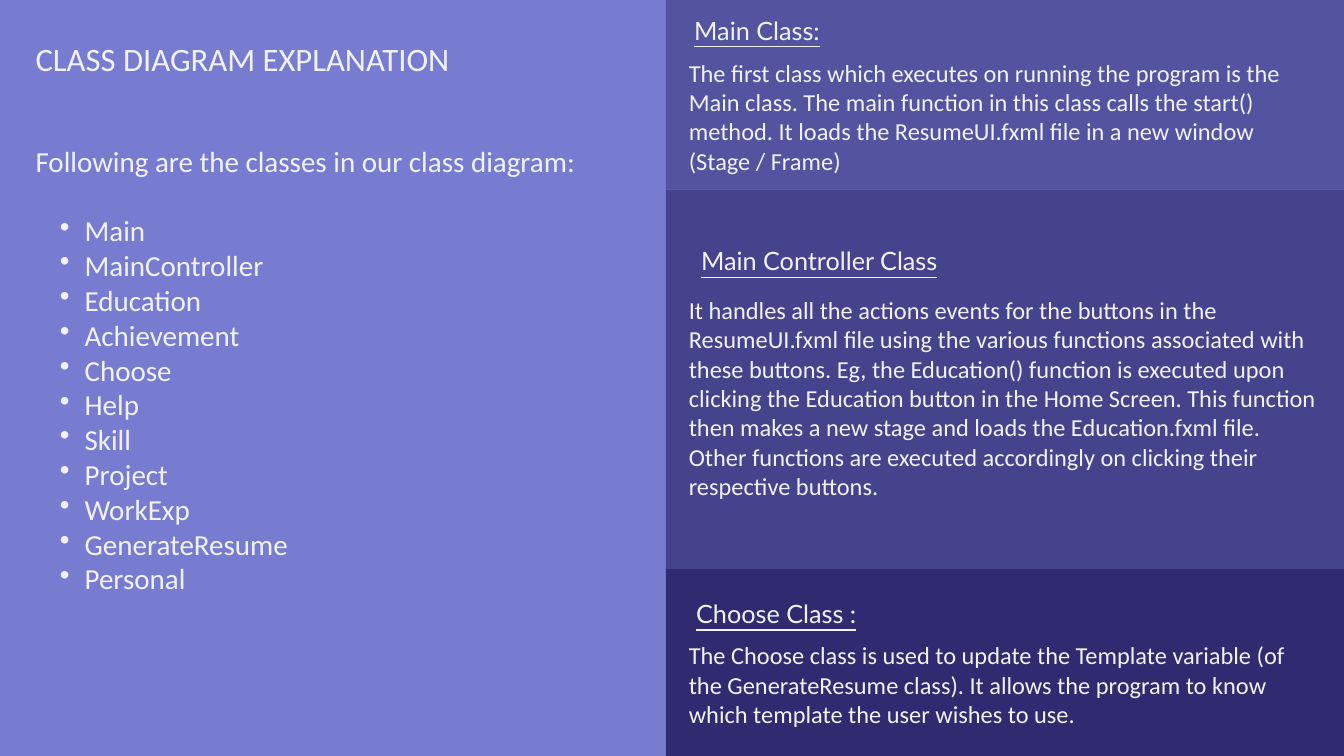
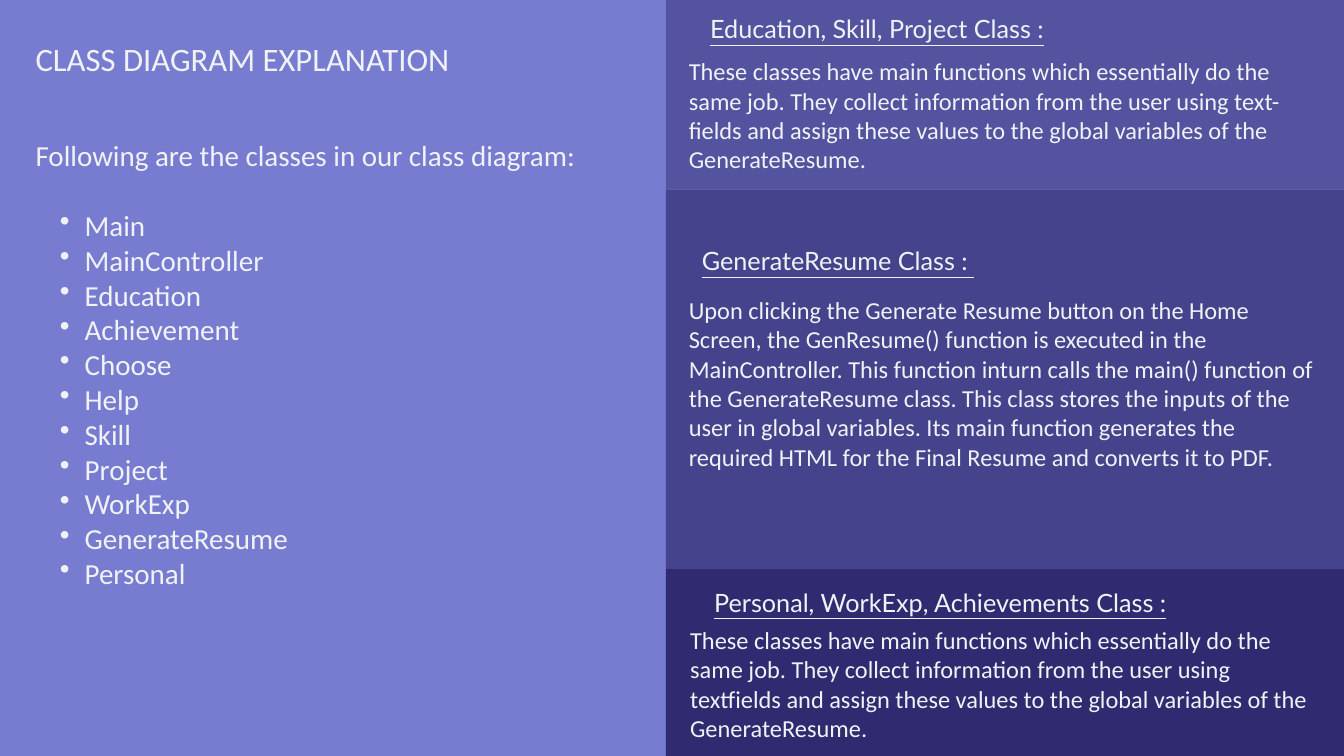
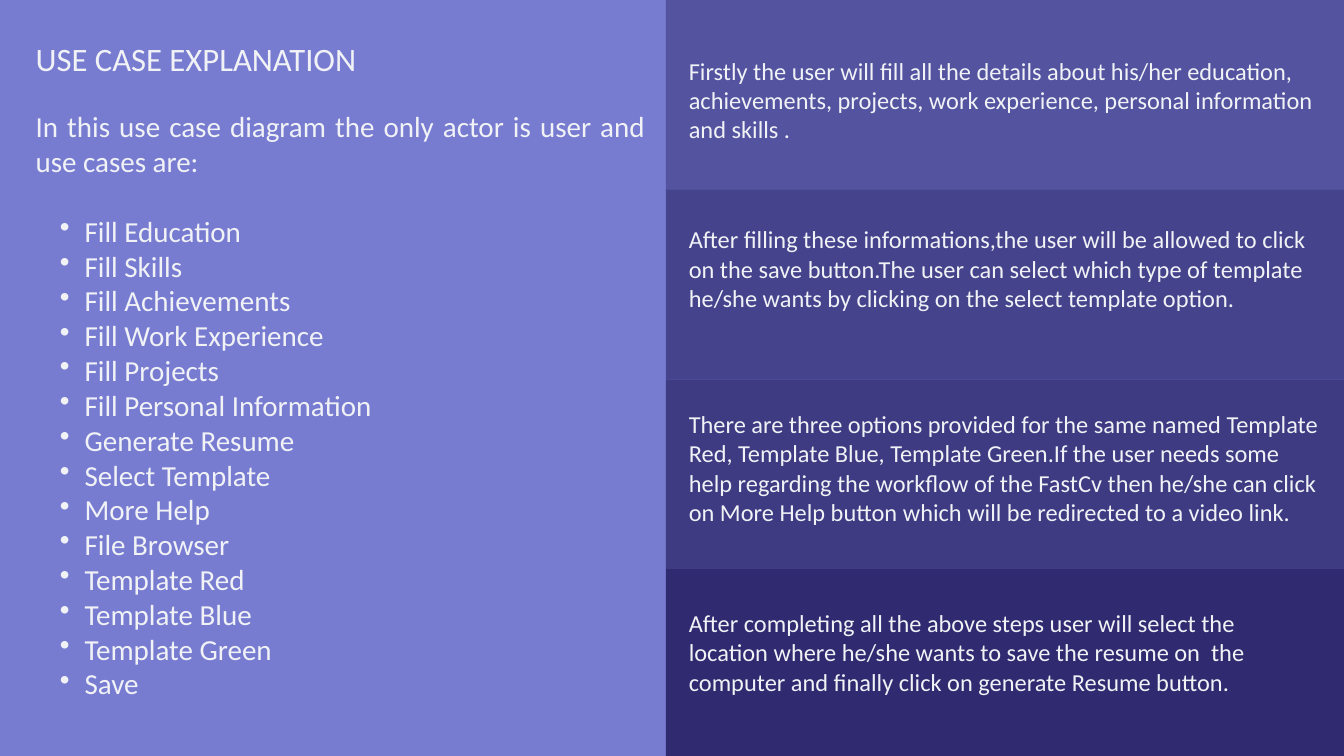
import dataclasses

import lxml.etree
import pptx
import pptx.dml.color
import pptx.enum.shapes
import pptx.enum.text
import pptx.oxml.ns
import pptx.util

EMU_PER_PX = 9144
SLIDE_WIDTH, SLIDE_HEIGHT = 2000, 1125
BAND_LEFT = 991
BAND_TOPS = (0, 282, 565, 847, SLIDE_HEIGHT)
LEFT_MARGIN = 53
TITLE_BOX = (LEFT_MARGIN, 58, 873, 59)
LIST_WIDTH = 907
BULLET_INDENT, BULLET_HANG = 73, 37
HEADING_HEIGHT = 51


@dataclasses.dataclass(frozen=True)
class TextStyle:
    font: str
    size: float
    line: float
    align: str = "LEFT"
    underline: bool = False


@dataclasses.dataclass(frozen=True)
class Theme:
    background: str = "787CD1"
    band: str = "302B70"
    text: str = "F0F2F6"
    title: TextStyle = TextStyle("Calibri", 35, 42)
    listing: TextStyle = TextStyle("Calibri", 31.1, 37.3, "JUSTIFY")
    heading: TextStyle = TextStyle("Lato", 27, 37.8, "CENTER", True)
    body: TextStyle = TextStyle("Calibri", 26.1, 31.4)


THEME = Theme()

CLASS_TITLE = "CLASS DIAGRAM EXPLANATION"
CLASS_INTRO = "Following are the classes in our class diagram:"
CLASSES = ["Main", "MainController", "Education", "Achievement", "Choose", "Help",
           "Skill", "Project", "WorkExp", "GenerateResume", "Personal"]
USE_CASES = ["Fill Education", "Fill Skills", "Fill Achievements", "Fill Work Experience",
             "Fill Projects", "Fill Personal Information", "Generate Resume",
             "Select Template", "More Help", "File Browser", "Template Red",
             "Template Blue", "Template Green", "Save"]

# Bands: (first row, last row, opacity in percent)
CLASS_BANDS = [(0, 0, 50), (1, 2, 70), (3, 3, 100)]
USE_CASE_BANDS = [(0, 0, 50), (1, 1, 70), (2, 2, 80), (3, 3, 100)]

# Headings: (text, left, top, width); bodies: (text, left, top, width, height)
SLIDES = [
    {
        "title": CLASS_TITLE, "intro": CLASS_INTRO, "items": CLASSES,
        "list_top": 213, "list_height": 766, "bands": CLASS_BANDS,
        "headings": [
            ("Main Class:", 1025, 15, 203),
            ("Main Controller Class", 1025, 358, 388),
            ("Choose Class :", 1025, 883, 260),
        ],
        "bodies": [
            ("The first class which executes on running the program is the Main class. "
             "The main function in this class calls the start() method. It loads the "
             "ResumeUI.fxml file in a new window (Stage / Frame)", 1025, 86, 941, 214),
            ("It handles all the actions events for the buttons in the ResumeUI.fxml file "
             "using the various functions associated with these buttons. Eg, the "
             "Education() function is executed upon clicking the Education button in the "
             "Home Screen. This function then makes a new stage and loads the "
             "Education.fxml file. Other functions are executed accordingly on clicking "
             "their respective buttons.", 1025, 439, 941, 300),
            ("The Choose class is used to update the Template variable (of the "
             "GenerateResume class). It allows the program to know which template the "
             "user wishes to use.", 1025, 953, 941, 172),
        ],
    },
    {
        "title": CLASS_TITLE, "intro": CLASS_INTRO, "items": CLASSES,
        "list_top": 205, "list_height": 766, "bands": CLASS_BANDS,
        "headings": [
            ("Education, Skill, Project Class :", 1030, 13, 550),
            ("GenerateResume Class : ", 1025, 358, 444),
            ("Personal, WorkExp, Achievements Class :", 1019, 866, 760),
        ],
        "bodies": [
            ("These classes have main functions which essentially do the same job. They "
             "collect information from the user using text-fields and assign these values "
             "to the global variables of the GenerateResume.", 1025, 84, 941, 172),
            ("Upon clicking the Generate Resume button on the Home Screen, the GenResume() "
             "function is executed in the MainController. This function inturn calls the "
             "main() function of the GenerateResume class. This class stores the inputs of "
             "the user in global variables. Its main function generates the required HTML "
             "for the Final Resume and converts it to PDF.", 1025, 439, 941, 300),
            ("These classes have main functions which essentially do the same job. They "
             "collect information from the user using textfields and assign these values "
             "to the global variables of the GenerateResume.", 1027, 930, 936, 172),
        ],
    },
    {
        "title": "USE CASE EXPLANATION",
        "intro": "In this use case diagram the only actor is user and use cases are:",
        "items": USE_CASES,
        "list_top": 162, "list_height": 920, "bands": USE_CASE_BANDS,
        "headings": [],
        "bodies": [
            ("Firstly the user will fill all the details about his/her education, "
             "achievements, projects, work experience, personal information and skills .",
             1025, 83, 941, 129),
            ("After filling these informations,the user will be allowed to click on the "
             "save button.The user can select which type of template he/she wants by "
             "clicking on the select template option.", 1025, 334, 941, 172),
            ("There are three options provided for the same named Template Red, Template "
             "Blue, Template Green.If the user needs some help regarding the workflow of "
             "the FastCv then he/she can click on More Help button which will be "
             "redirected to a video link.", 1025, 609, 941, 214),
            ("After completing all the above steps user will select the location where "
             "he/she wants to save the resume on  the computer and finally click on "
             "generate Resume button.", 1025, 905, 873, 172),
        ],
    },
]


def px(*lengths):
    return [pptx.util.Emu(length * EMU_PER_PX) for length in lengths]


def rgb(color):
    return pptx.dml.color.RGBColor.from_string(color)


def add_band(slide, first_row, last_row, opacity):
    top, bottom = BAND_TOPS[first_row], BAND_TOPS[last_row + 1]
    band = slide.shapes.add_shape(
        pptx.enum.shapes.MSO_SHAPE.RECTANGLE,
        *px(BAND_LEFT, top, SLIDE_WIDTH - BAND_LEFT, bottom - top))
    band.shadow.inherit = False
    band.line.fill.background()
    band.fill.solid()
    band.fill.fore_color.rgb = rgb(THEME.band)
    if opacity < 100:
        color = band.fill._xPr.find(".//" + pptx.oxml.ns.qn("a:srgbClr"))
        lxml.etree.SubElement(color, pptx.oxml.ns.qn("a:alpha"), val=str(opacity * 1000))


def add_text(slide, box, lines, style):
    """Add one paragraph per line and return the paragraphs."""
    frame = slide.shapes.add_textbox(*px(*box)).text_frame
    frame.word_wrap = True
    frame.margin_left = frame.margin_top = frame.margin_right = frame.margin_bottom = 0
    frame.text = "\n".join(lines)
    for paragraph in frame.paragraphs:
        paragraph.alignment = getattr(pptx.enum.text.PP_ALIGN, style.align)
        paragraph.line_spacing = pptx.util.Pt(style.line)
        paragraph.font.name = style.font
        paragraph.font.size = pptx.util.Pt(style.size)
        paragraph.font.color.rgb = rgb(THEME.text)
        if style.underline:
            paragraph.font.underline = True
    return frame.paragraphs


def add_bullet(paragraph):
    paragraph.level = 1
    properties = paragraph._p.get_or_add_pPr()
    indent, hang = px(BULLET_INDENT, BULLET_HANG)
    properties.set("marL", str(indent))
    properties.set("indent", str(-hang))
    bullet = lxml.etree.Element(pptx.oxml.ns.qn("a:buChar"), char="•")
    properties.find(pptx.oxml.ns.qn("a:defRPr")).addprevious(bullet)


def add_list(slide, content):
    box = (LEFT_MARGIN, content["list_top"], LIST_WIDTH, content["list_height"])
    intro, *items = add_text(slide, box, [content["intro"], *content["items"]], THEME.listing)
    intro.space_after = pptx.util.Pt(THEME.listing.line)
    for item in items:
        add_bullet(item)


def build_slide(presentation, content):
    slide = presentation.slides.add_slide(presentation.slide_layouts[6])
    slide.background.fill.solid()
    slide.background.fill.fore_color.rgb = rgb(THEME.background)
    for band in content["bands"]:
        add_band(slide, *band)
    add_text(slide, TITLE_BOX, [content["title"]], THEME.title)
    add_list(slide, content)
    for text, left, top, width in content["headings"]:
        add_text(slide, (left, top, width, HEADING_HEIGHT), [text], THEME.heading)
    for text, *box in content["bodies"]:
        add_text(slide, box, [text], THEME.body)


def main():
    presentation = pptx.Presentation()
    presentation.slide_width, presentation.slide_height = px(SLIDE_WIDTH, SLIDE_HEIGHT)
    for content in SLIDES:
        build_slide(presentation, content)
    presentation.save("out.pptx")


if __name__ == "__main__":
    main()
